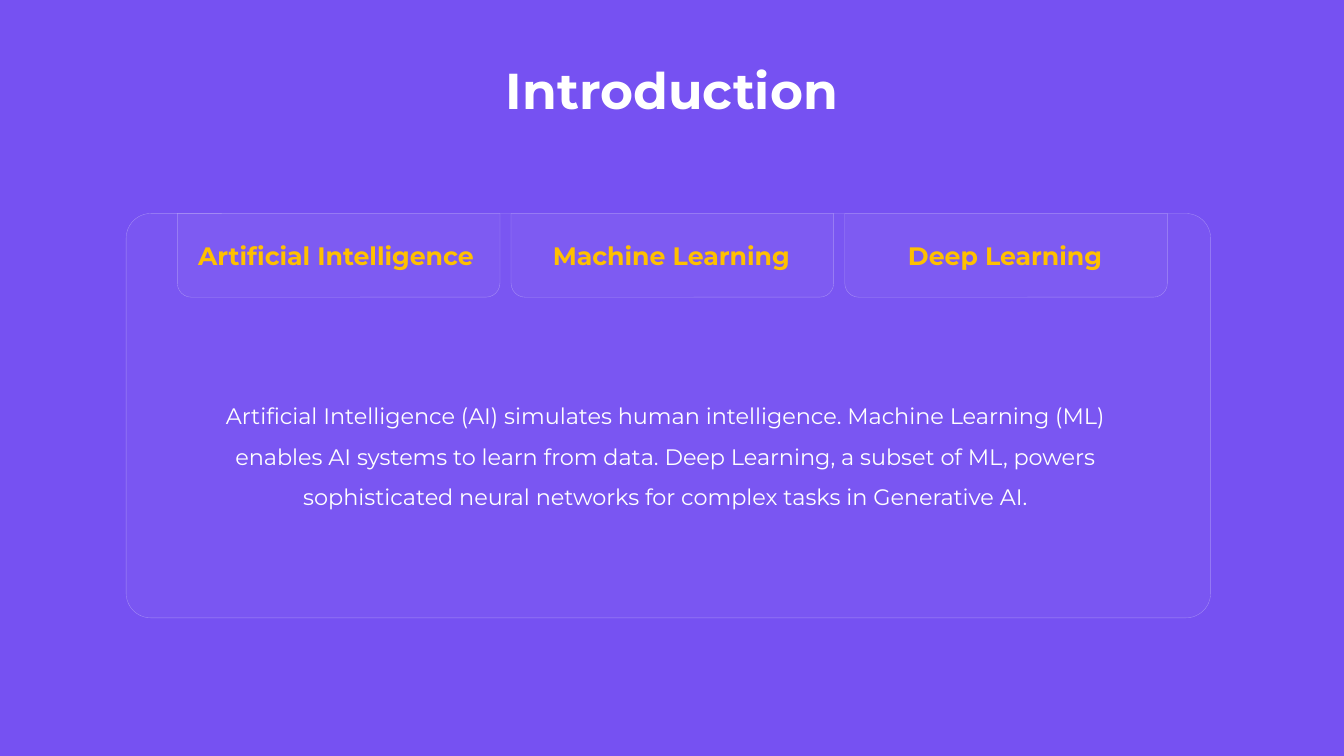
from pptx import Presentation
from pptx.dml.color import RGBColor
from pptx.enum.shapes import MSO_SHAPE
from pptx.enum.text import MSO_ANCHOR, PP_ALIGN
from pptx.oxml.ns import qn
from pptx.util import Cm, Pt
from lxml.etree import SubElement

TITLE = "Introduction"
TABS = ["Artificial Intelligence", "Machine Learning", "Deep Learning"]
BODY = (
    "Artificial Intelligence (AI) simulates human intelligence. "
    "Machine Learning (ML) enables AI systems to learn from data. "
    "Deep Learning, a subset of ML, powers sophisticated neural networks "
    "for complex tasks in Generative AI."
)
COLORS = {"back": "7651F2", "white": "FFFFFF", "gold": "FFC000"}
FONT = "Montserrat"

# Lengths in cm: left, top, width, height
SLIDE = (33.87, 19.05)
HEAD = (0, 1.35, 33.87, 1.8)
PANEL = (3.18, 5.38, 27.33, 10.19)
PROSE = (4.47, 9.68, 24.61, 3.23)
TAB = (4.47, 5.38, 8.13, 2.11)
STEP = 8.41
LABEL = (4.47, 5.94, 8.0, 1.02)
NUDGE = 0.04


def color(name):
    return RGBColor.from_string(COLORS[name])


def place(box, shift=0):
    left, top, width, height = box
    return Cm(left + shift), Cm(top), Cm(width), Cm(height)


def fade(fill, percent):
    """Set the opacity of a solid fill's colour element."""
    tint = fill.find(qn("a:srgbClr"))
    SubElement(tint, qn("a:alpha"), val=str(percent * 1000))


def glass(shapes, kind, box, rounds, shift=0):
    """Add a translucent white shape with a thin, faint outline."""
    shape = shapes.add_shape(kind, *place(box, shift))
    for i, size in enumerate(rounds):
        shape.adjustments[i] = size
    shape.shadow.inherit = False
    shape.fill.solid()
    shape.fill.fore_color.rgb = color("white")
    shape.line.width = Pt(0.25)
    shape.line.color.rgb = color("white")
    props = shape._element.spPr
    fade(props.find(qn("a:solidFill")), 3)
    fade(props.find(qn("a:ln")).find(qn("a:solidFill")), 33)


def write(shape, text, size, tone, bold=False, space=None):
    frame = shape.text_frame
    frame.word_wrap = True
    frame.vertical_anchor = MSO_ANCHOR.TOP
    para = frame.paragraphs[0]
    para.alignment = PP_ALIGN.CENTER
    para.space_before = Pt(0)
    para.line_spacing = space or 1.0
    run = para.add_run()
    run.text = text
    run.font.name = FONT
    run.font.size = Pt(size)
    run.font.bold = bold
    run.font.color.rgb = color(tone)


def main():
    deck = Presentation()
    deck.slide_width, deck.slide_height = Cm(SLIDE[0]), Cm(SLIDE[1])
    slide = deck.slides.add_slide(deck.slide_layouts[5])
    slide.background.fill.solid()
    slide.background.fill.fore_color.rgb = color("back")

    title = slide.shapes.title
    title.left, title.top, title.width, title.height = place(HEAD)
    write(title, TITLE, 36, "white", bold=True)

    glass(slide.shapes, MSO_SHAPE.ROUNDED_RECTANGLE, PANEL, [0.061])
    prose = slide.shapes.add_textbox(*place(PROSE))
    write(prose, BODY, 16, "white", space=1.5)

    for i, name in enumerate(TABS):
        group = slide.shapes.add_group_shape().shapes
        shift = i * STEP
        # Only the two bottom corners are round
        glass(group, MSO_SHAPE.ROUND_2_SAME_RECTANGLE, TAB, [0, 0.167], shift)
        label = group.add_textbox(*place(LABEL, shift + (NUDGE if i else 0)))
        write(label, name, 18, "gold", bold=True)

    deck.save("out.pptx")


if __name__ == "__main__":
    main()
